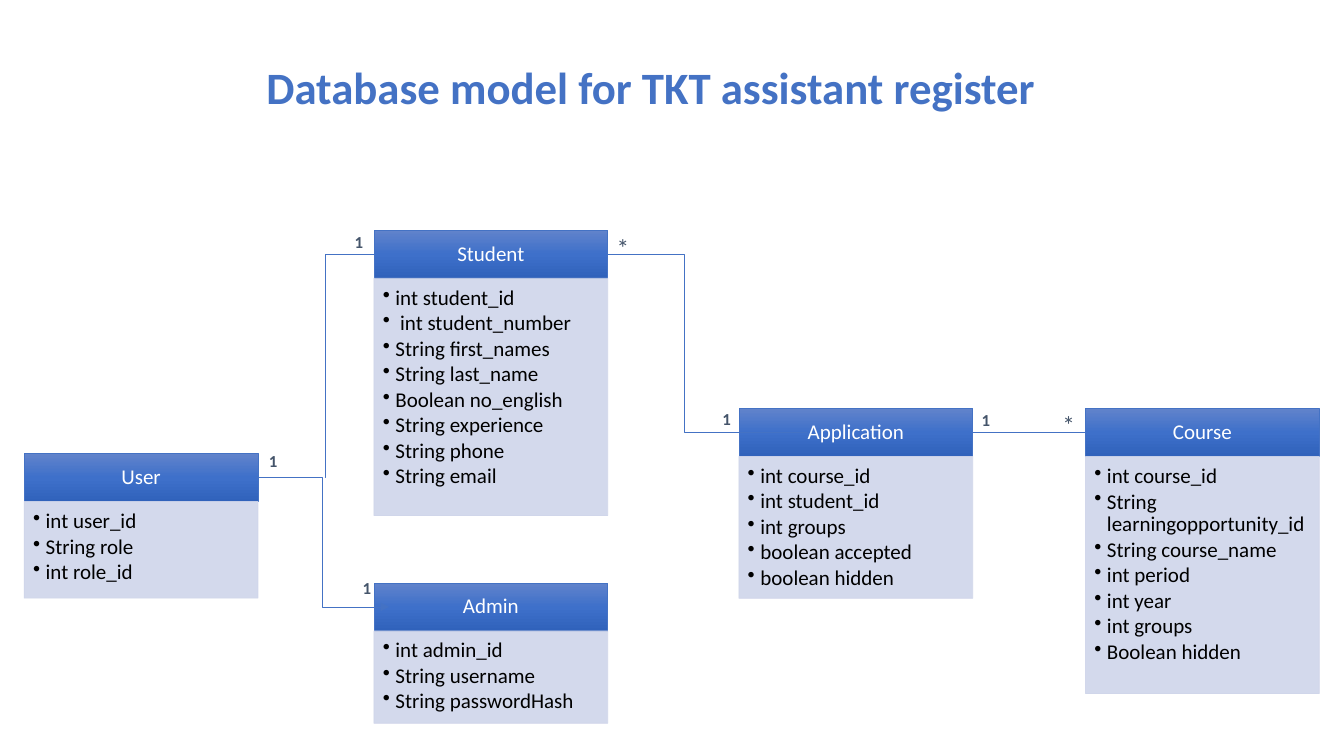
import pptx
import pptx.util
import pptx.dml.color
import pptx.enum.shapes
import pptx.enum.text
import pptx.oxml.ns
from lxml import etree

Pt = pptx.util.Pt
qn = pptx.oxml.ns.qn
TITLE = "Database model for TKT assistant register"
FONT = "Calibri"
COLORS = {
    "accent": "4472C4", "light": "6183CB", "middle": "3E70CA", "dark": "3062BB",
    "panel": "CFD5EA", "label": "44546A", "white": "FFFFFF", "black": "000000",
}
HEADER_STOPS = [(0, "light"), (50, "middle"), (100, "dark")]
WIDTH, HEADER = 167, 34.3

ENTITIES = [
    ("User", 17.3, 324, 69, ["int user_id", "String role", "int role_id"]),
    ("Student", 267.1, 164.5, 169.5, [
        "int student_id", " int student_number", "String first_names", "String last_name",
        "Boolean no_english", "String experience", "String phone", "String email"]),
    ("Admin", 267.1, 416.4, 66, ["int admin_id", "String username", "String passwordHash"]),
    ("Application", 527.8, 291.8, 101.3, [
        "int course_id", "int student_id", "int groups", "boolean accepted", "boolean hidden"]),
    ("Course", 775.4, 291.8, 169.3, [
        "int course_id", "String learningopportunity_id", "String course_name",
        "int period", "int year", "int groups", "Boolean hidden"]),
]
# start, end, share of the width where an elbow turns, arrowhead
LINKS = [
    ((182.9, 341.2), (277.9, 433.5), 50, True),
    ((231.9, 341.2), (267.8, 181.6), 1, False),
    ((434.1, 181.6), (576.7, 309), 38.4, False),
    ((694.8, 309), (775.4, 309), None, False),
]
ONES = [(185, 318.2), (509, 288.7), (694.1, 289.4), (246.2, 162), (252, 409)]
STARS = [(751.7, 288.7), (433.4, 162.7)]


def rgb(name):
    return pptx.dml.color.RGBColor.from_string(COLORS[name])


def add_span(para, text, size, color, bold=False):
    span = para.add_run()
    span.text = text
    span.font.name, span.font.size, span.font.bold = FONT, Pt(size), bold
    span.font.color.rgb = rgb(color)


def set_margins(frame, left, top, right, bottom):
    frame.margin_left, frame.margin_top = Pt(left), Pt(top)
    frame.margin_right, frame.margin_bottom = Pt(right), Pt(bottom)


def add_box(left, top, height, line):
    box = page.shapes.add_shape(pptx.enum.shapes.MSO_SHAPE.RECTANGLE,
                                Pt(left), Pt(top), Pt(WIDTH), Pt(height))
    box.shadow.inherit = False
    box.line.color.rgb = rgb(line)
    box.line.width = Pt(0.5)
    box.text_frame.word_wrap = True
    return box


def add_header(name, left, top):
    box = add_box(left, top, HEADER, "accent")
    box.fill.gradient()
    box.fill.gradient_angle = 270
    stops = box._element.spPr.find(qn("a:gradFill")).find(qn("a:gsLst"))
    for stop in list(stops):
        stops.remove(stop)
    for position, color in HEADER_STOPS:
        stop = etree.SubElement(stops, qn("a:gs"), pos=str(position * 1000))
        etree.SubElement(stop, qn("a:srgbClr"), val=COLORS[color])
    frame = box.text_frame
    frame.vertical_anchor = pptx.enum.text.MSO_ANCHOR.MIDDLE
    para = frame.paragraphs[0]
    para.alignment = pptx.enum.text.PP_ALIGN.CENTER
    para.line_spacing = 0.9
    add_span(para, name, 15, "white")


def add_fields(fields, left, top, height):
    box = add_box(left, top, height, "panel")
    box.fill.solid()
    box.fill.fore_color.rgb = rgb("panel")
    for color in box._element.spPr.iter(qn("a:srgbClr")):
        etree.SubElement(color, qn("a:alpha"), val="90000")
    frame = box.text_frame
    frame.vertical_anchor = pptx.enum.text.MSO_ANCHOR.TOP
    set_margins(frame, 6.3, 6.3, 8.4, 9.5)
    for index, field in enumerate(fields):
        para = frame.add_paragraph() if index else frame.paragraphs[0]
        para.alignment = pptx.enum.text.PP_ALIGN.LEFT
        para.line_spacing = 0.9
        para.space_after = Pt(2)
        properties = para._p.get_or_add_pPr()
        properties.set("marL", str(Pt(9)))
        properties.set("indent", str(-Pt(9)))
        etree.SubElement(properties, qn("a:buChar"), char="•")
        add_span(para, field, 15, "black")


def add_link(start, end, turn, arrow):
    kinds = pptx.enum.shapes.MSO_CONNECTOR
    kind = kinds.STRAIGHT if turn is None else kinds.ELBOW
    link = page.shapes.add_connector(kind, *[Pt(value) for value in start + end])
    link.line.color.rgb = rgb("accent")
    link.line.width = Pt(0.5)
    properties = link._element.spPr
    if turn is not None:
        guides = properties.find(qn("a:prstGeom")).find(qn("a:avLst"))
        etree.SubElement(guides, qn("a:gd"), name="adj1", fmla=f"val {round(turn * 1000)}")
    if arrow:
        etree.SubElement(properties.find(qn("a:ln")), qn("a:tailEnd"), type="triangle")
    etree.SubElement(properties, qn("a:effectLst"))


def add_label(text, left, top, width, height, size, bold):
    box = page.shapes.add_textbox(Pt(left), Pt(top), Pt(width), Pt(height))
    box.text_frame.word_wrap = False
    box.text_frame.auto_size = pptx.enum.text.MSO_AUTO_SIZE.SHAPE_TO_FIT_TEXT
    add_span(box.text_frame.paragraphs[0], text, size, "label", bold)


deck = pptx.Presentation()
deck.slide_width, deck.slide_height = Pt(960), Pt(540)
page = deck.slides.add_slide(deck.slide_layouts[5])

title = page.shapes.title
title.left, title.top, title.width, title.height = Pt(183), Pt(39), Pt(776), Pt(46)
title.text_frame.word_wrap = True
title.text_frame.auto_size = pptx.enum.text.MSO_AUTO_SIZE.NONE
title.text_frame.vertical_anchor = pptx.enum.text.MSO_ANCHOR.TOP
heading = title.text_frame.paragraphs[0]
heading.alignment = pptx.enum.text.PP_ALIGN.LEFT
add_span(heading, TITLE, 32, "accent", True)

for name, left, top, height, fields in ENTITIES:
    add_header(name, left, top)
    add_fields(fields, left, top + HEADER, height)
for link in LINKS:
    add_link(*link)
for left, top in ONES:
    add_label("1", left, top, 21, 21.8, 12, True)
for left, top in STARS:
    add_label("*", left, top, 24, 29, 18, False)

deck.save("out.pptx")
